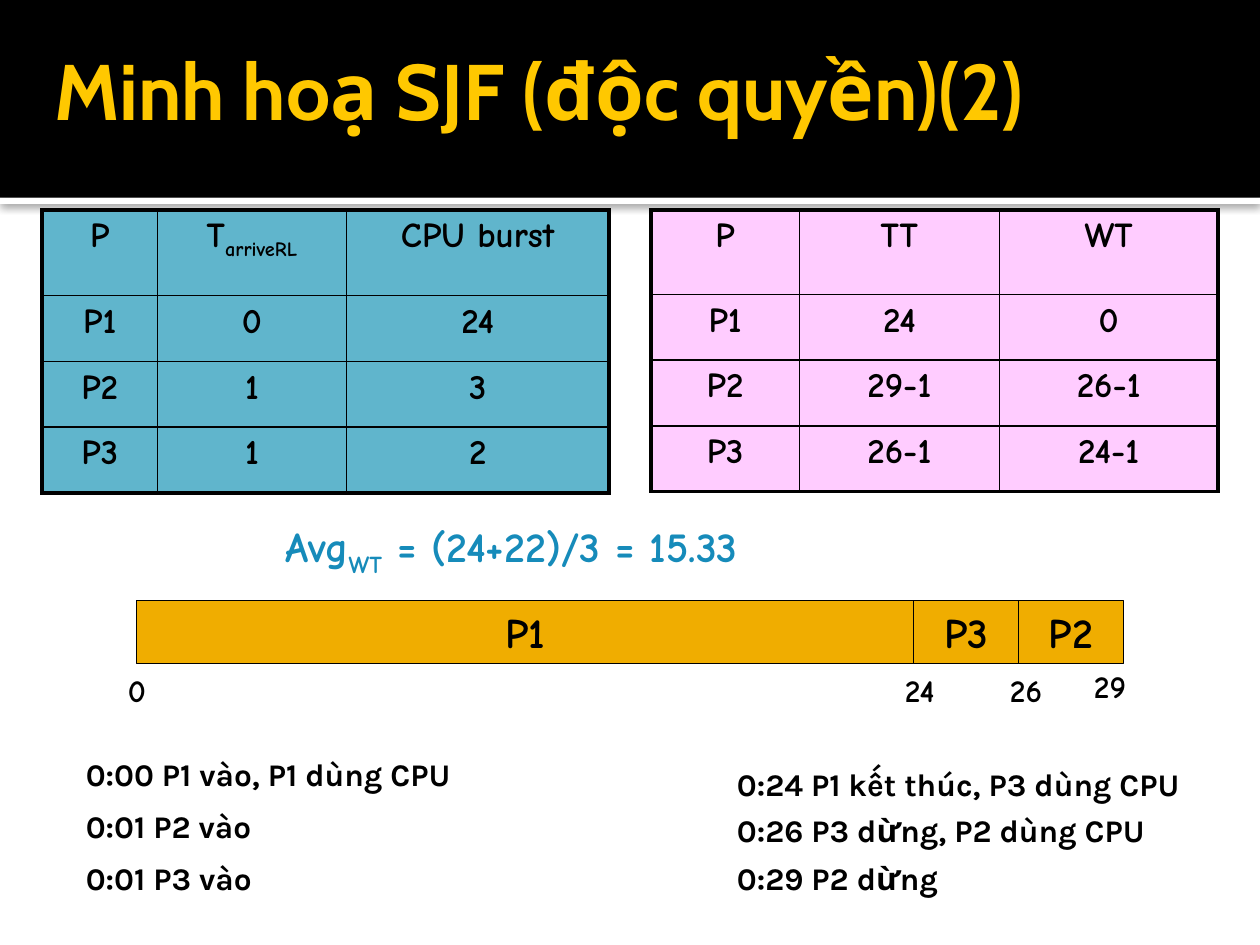
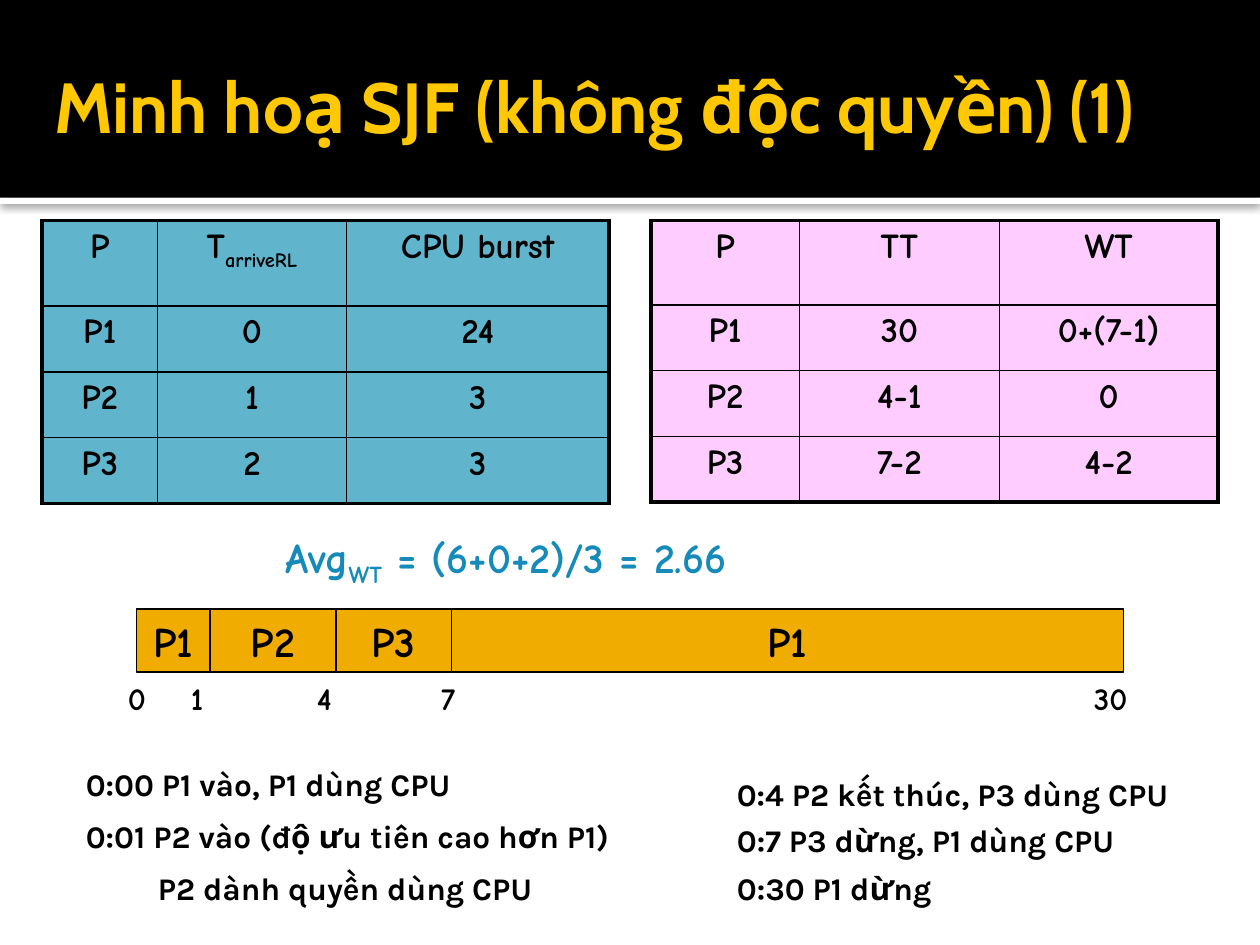
from lxml import etree
from pptx import Presentation
from pptx import util as u
from pptx.dml.color import RGBColor
from pptx.enum import shapes, text
from pptx.oxml import ns

Pt = u.Pt
HUES = dict(ink="000000", paper="FFFFFF", gold="FFC800", teal="60B5CC",
            pink="FFCCFF", blue="168BBA", bar="F0AD00")
HEAD, HAND, BODY = "Cabin", "Comic Neue", "Karla"
MID = text.PP_ALIGN.CENTER


def hue(name):
    """Return the named colour."""
    return RGBColor.from_string(HUES[name])


def node(root, tag, **attrs):
    """Append a drawing element under root."""
    return etree.SubElement(root, ns.qn(tag), attrs)


def write(frame, words, face, size, ink="ink", align=None):
    """Write one bold paragraph; every second part between bars is a subscript."""
    para = frame.paragraphs[0]
    para.alignment = align
    font = para.font
    font.name, font.size, font.bold = face, Pt(size), True
    font.color.rgb = hue(ink)
    for spot, part in enumerate(words.split("|")):
        run = para.add_run()
        run.text = part
        if spot % 2:
            run._r.get_or_add_rPr().set("baseline", "-25000")


def label(slide, box, words, face, size, ink="ink"):
    """Add a text box and return its frame."""
    frame = slide.shapes.add_textbox(*map(Pt, box)).text_frame
    frame.word_wrap = True
    write(frame, words, face, size, ink)
    return frame


def block(slide, box, fill, line=None):
    """Add a flat rectangle."""
    shape = slide.shapes.add_shape(shapes.MSO_SHAPE.RECTANGLE, *map(Pt, box))
    shape.shadow.inherit = False
    shape.fill.solid()
    shape.fill.fore_color.rgb = hue(fill)
    if line:
        shape.line.color.rgb = hue(line)
        shape.line.width = Pt(0.75)
    else:
        shape.line.fill.background()
    return shape


def header(slide, box, words, size):
    """Draw the title band, its shadowed white rule and the title."""
    rule = block(slide, (0, 113, 720, 3.6), "paper")
    effects = rule._element.spPr.find(ns.qn("a:effectLst"))
    shade = node(effects, "a:outerShdw", blurRad=str(Pt(5)),
                 dist=str(Pt(0.8)), dir="5400000", rotWithShape="0")
    tint = node(shade, "a:srgbClr", val=HUES["ink"])
    node(tint, "a:alpha", val="60000")
    block(slide, (0, 0, 720, 113), "ink")
    frame = label(slide, box, words, HEAD, size, "gold")
    frame.vertical_anchor = text.MSO_ANCHOR.MIDDLE
    frame.margin_right = Pt(3.6)


def edge(cell, side, width):
    """Draw one border of a cell."""
    line = node(cell._tc.get_or_add_tcPr(), f"a:ln{side}", w=str(Pt(width)))
    node(node(line, "a:solidFill"), "a:srgbClr", val=HUES["ink"])


def grid(slide, left, top, cols, first, rows, fill):
    """Draw a table with a heavy frame and thin inner lines."""
    highs = [first] + [37.6] * (len(rows) - 1)
    table = slide.shapes.add_table(len(rows), len(cols), Pt(left), Pt(top),
                                   Pt(sum(cols)), Pt(sum(highs))).table
    table.first_row = table.horz_banding = False
    for col, width in zip(table.columns, cols):
        col.width = Pt(width)
    for r, (row, high) in enumerate(zip(rows, highs)):
        table.rows[r].height = Pt(high)
        for c, words in enumerate(row):
            cell = table.cell(r, c)
            outer = dict(L=c == 0, R=c == len(cols) - 1,
                         T=r == 0, B=r == len(rows) - 1)
            for side, heavy in outer.items():
                edge(cell, side, 2.25 if heavy else 1)
            cell.fill.solid()
            cell.fill.fore_color.rgb = hue(fill)
            write(cell.text_frame, words, HAND, 20, align=MID)


def gantt(slide, top, cuts, jobs, marks):
    """Draw the bar of jobs between cuts, with time marks as (text, left, lift)."""
    for start, stop, job in zip(cuts, cuts[1:], jobs):
        bar = block(slide, (start, top, stop - start, 36), "bar", "ink")
        bar.text_frame.word_wrap = False
        write(bar.text_frame, job, HAND, 24, align=MID)
    for words, left, lift in marks:
        wide = 25.2 if len(words) == 1 else 36.7
        label(slide, (left, top + 36.5 - lift, wide, 29), words, HAND, 18)


def notes(slide, left, tops, lines):
    """Write timeline lines as (text, width, indent)."""
    for top, (words, wide, shift) in zip(tops, lines):
        frame = label(slide, (left, top, wide, 29), words, BODY, 18)
        frame.margin_left = Pt(7.2 + shift)


def build(deck, top, title, jobs, turns, mean, chart, early, late):
    """Build one scheduling slide whose content starts at top."""
    slide = deck.slides.add_slide(deck.slide_layouts[6])
    header(slide, *title)
    names = ["P1", "P2", "P3"]
    left = [("P", "T|arriveRL", "CPU burst")]
    left += [(n, *job) for n, job in zip(names, jobs)]
    right = [("P", "TT", "WT")]
    right += [(n, *turn) for n, turn in zip(names, turns)]
    grid(slide, 24, top, (66, 108, 150), 48.9, left, "teal")
    grid(slide, 372, top, (84.8, 114.4, 124.8), 48.2, right, "pink")
    label(slide, (156, top + 174, 384, 36), mean, HAND, 24, "blue")
    notes(slide, 42, [top + 307.7 + 29.8 * n for n in range(3)], early)
    notes(slide, 414, [top + 313.4, top + 339.6, top + 367.3], late)
    gantt(slide, *chart)


def main():
    """Build and save the deck."""
    deck = Presentation()
    deck.slide_width, deck.slide_height = Pt(720), Pt(540)
    build(deck, 120,
          ((24, 6, 588, 90), "Minh hoạ SJF (độc quyền)(2)", 45),
          [("0", "24"), ("1", "3"), ("1", "2")],
          [("24", "0"), ("29-1", "26-1"), ("26-1", "24-1")],
          "Avg|WT| = (24+22)/3 = 15.33",
          (343.2, (78, 522, 582, 642), ("P1", "P3", "P2"),
           [("0", 66, 0), ("24", 510, 0), ("26", 570, 0), ("29", 618, 2)]),
          [("0:00 P1 vào, P1 dùng CPU", 249, 0),
           ("0:01 P2 vào", 122, 0), ("0:01 P3 vào", 122, 0)],
          [("0:24 P1 kết thúc, P3 dùng CPU", 292, 0),
           ("0:26 P3 dừng, P2 dùng CPU", 264, 0), ("0:29 P2 dừng", 137, 0)])
    build(deck, 126,
          ((24, 30, 636, 60), "Minh hoạ SJF (không độc quyền) (1)", 40.5),
          [("0", "24"), ("1", "3"), ("2", "3")],
          [("30", "0+(7-1)"), ("4-1", "0"), ("7-2", "4-2")],
          "Avg|WT| = (6+0+2)/3 = 2.66",
          (348, (78, 120, 192, 258, 642), ("P1", "P2", "P3", "P1"),
           [("0", 66, 0), ("1", 102, 0), ("4", 174, 0), ("7", 245, 0),
            ("30", 618, 0)]),
          [("0:00 P1 vào, P1 dùng CPU", 249, 0),
           ("0:01 P2 vào (độ ưu tiên cao hơn P1)", 341, 0),
           ("P2 dành quyền dùng CPU", 295, 41)],
          [("0:4 P2 kết thúc, P3 dùng CPU", 280, 0),
           ("0:7 P3 dừng, P1 dùng CPU", 253, 0), ("0:30 P1 dừng", 137, 0)])
    deck.save("out.pptx")


if __name__ == "__main__":
    main()
